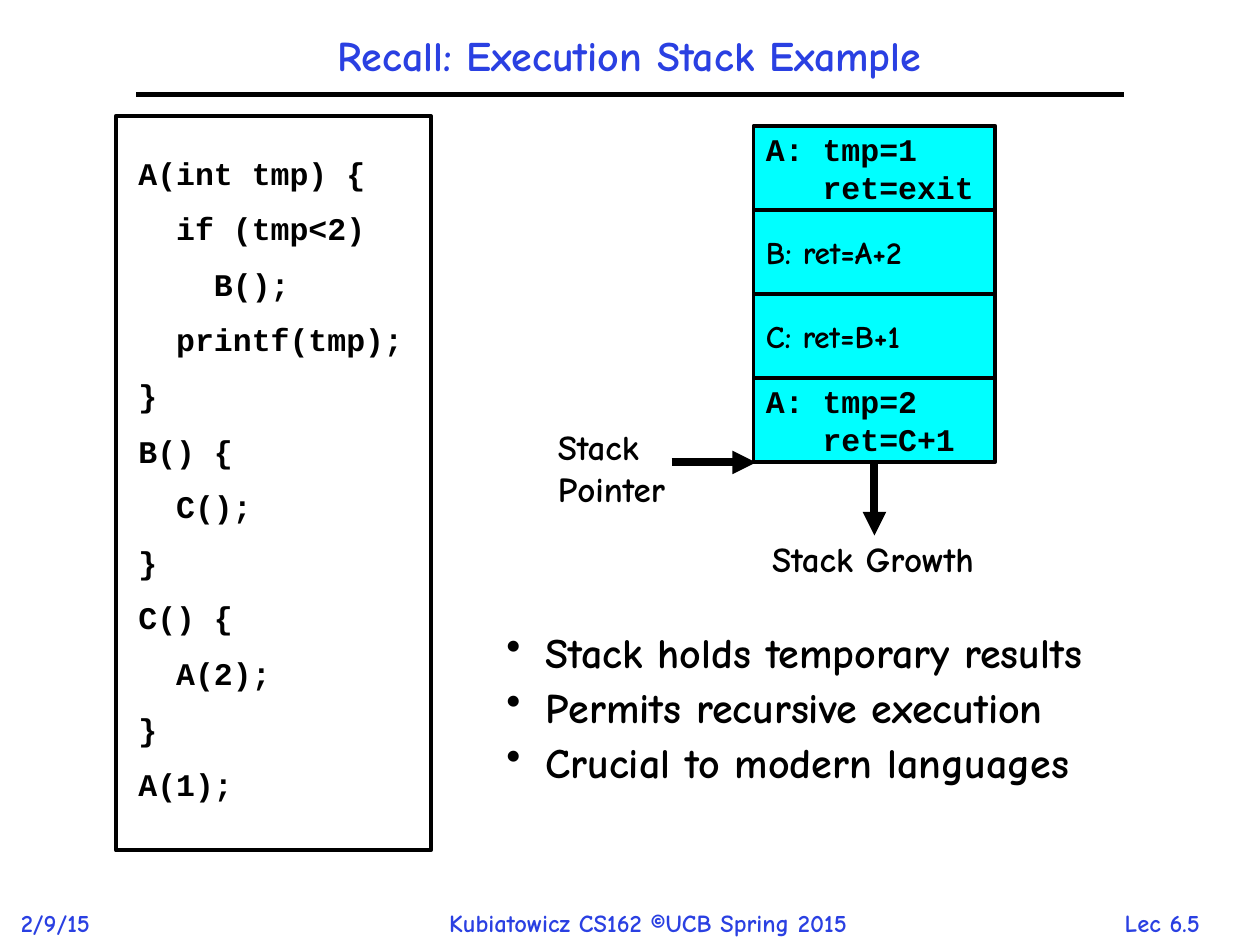
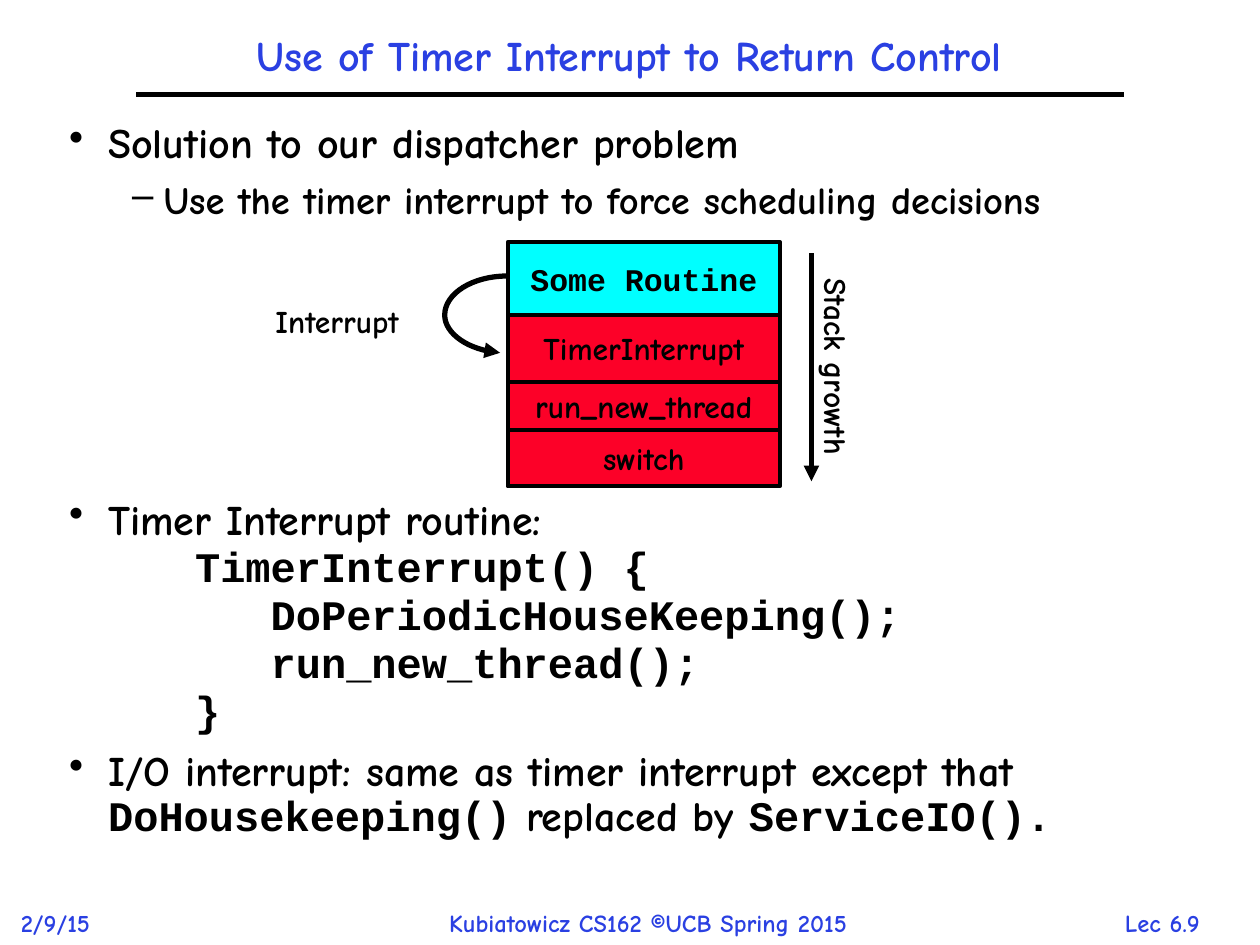
"""Builds two lecture slides on execution stacks and timer interrupts."""
from lxml import etree
from pptx import Presentation, util as u
from pptx.dml.color import RGBColor
from pptx.enum import shapes, text
from pptx.oxml.ns import qn

COLORS = {"blue": "2A40E2", "black": "000000", "white": "FFFFFF", "cyan": "00FFFF", "red": "FC0128"}
SANS, MONO = "Comic Neue", "Courier New"
CENTER = text.PP_ALIGN.CENTER
MIDDLE = text.MSO_ANCHOR.MIDDLE
RECT = shapes.MSO_SHAPE.RECTANGLE


def add_text(s, at, paras, fill=None, wrap=True, anchor=text.MSO_ANCHOR.TOP, **common):
    """Add a text box, or an outlined rectangle if fill is given."""
    at = [u.Inches(v) for v in at]
    if fill:
        sp = s.shapes.add_shape(RECT, *at)
        sp.shadow.inherit = False
        sp.fill.solid()
        sp.fill.fore_color.rgb = RGBColor.from_string(COLORS[fill])
        sp.line.color.rgb = RGBColor.from_string(COLORS["black"])
        sp.line.width = u.Pt(2.25)
    else:
        sp = s.shapes.add_textbox(*at)
    tf = sp.text_frame
    tf.word_wrap, tf.vertical_anchor = wrap, anchor
    for i, (runs, own) in enumerate(paras):
        fmt = {"font": SANS, "size": 18, "color": "black", "alignment": text.PP_ALIGN.LEFT,
               "line_spacing": 1.0, "space_before": u.Pt(0), "left": 0, "hang": 0, **common, **own}
        p = tf.paragraphs[0] if i == 0 else tf.add_paragraph()
        for key in ("alignment", "line_spacing", "space_before"):
            setattr(p, key, fmt[key])
        pPr = p._p.get_or_add_pPr()
        pPr.set("marL", str(u.Inches(fmt["left"])))
        pPr.set("indent", str(-u.Inches(fmt["hang"])))
        if "bullet" in fmt:
            etree.SubElement(pPr, qn("a:buChar")).set("char", fmt["bullet"])
        for words, font in ([(runs, fmt["font"])] if isinstance(runs, str) else runs):
            r = p.add_run()
            r.text = words
            for key, value in {"name": font, "size": u.Pt(fmt["size"]), "bold": True}.items():
                setattr(r.font, key, value)
            r.font.color.rgb = RGBColor.from_string(COLORS[fmt["color"]])
    return sp


def style_line(sp, width, arrow=True):
    """Draw a black line without shadow, with an arrowhead at its end if asked."""
    sp.line.color.rgb = RGBColor.from_string(COLORS["black"])
    sp.line.width = u.Pt(width)
    spPr = sp._element.spPr
    if arrow:
        etree.SubElement(spPr.find(qn("a:ln")), qn("a:tailEnd")).set("type", "triangle")
    etree.SubElement(spPr, qn("a:effectLst"))


prs = Presentation()
prs.slide_width, prs.slide_height = u.Inches(10), u.Inches(7.5)
STRAIGHT = shapes.MSO_CONNECTOR.STRAIGHT
BULLET = {"size": 24, "left": 0.31, "hang": 0.31, "bullet": "•", "space_before": u.Pt(8.3)}

slides = []
for title, number in (("Recall: Execution Stack Example", "Lec 6.5"),
                      ("Use of Timer Interrupt to Return Control", "Lec 6.9")):
    s = prs.slides.add_slide(prs.slide_layouts[6])
    slides.append(s)
    for left, width, words in ((8.62, 1.21, number), (0, 0.88, "2/9/15"),
                               (3.21, 3.87, "Kubiatowicz CS162 ©UCB Spring 2015")):
        add_text(s, (left, 7.16, width, 0.34), [(words, {})], wrap=False,
                 size=14, color="blue", alignment=CENTER)
    rule = s.shapes.add_connector(STRAIGHT, *[u.Inches(v) for v in (1.08, 0.75, 8.92, 0.75)])
    style_line(rule, 3, arrow=False)
    add_text(s, (1.08, 0.17, 7.83, 0.58), [(title, {})], anchor=MIDDLE,
             size=24, color="blue", alignment=CENTER, line_spacing=0.9)

s = slides[0]
points = ["Stack holds temporary results", "Permits recursive execution", "Crucial to modern languages"]
add_text(s, (3.92, 5, 5.58, 1.42), [(words, BULLET) for words in points], line_spacing=0.8)

add_text(s, (0.92, 0.92, 2.5, 5.83), [], fill="white")
code = [(0, "A(int tmp) {"), (1, "if (tmp<2)"), (2, "B();"), (1, "printf(tmp);"), (0, "}"),
        (0, "B() {"), (1, "C();"), (0, "}"), (0, "C() {"), (1, "A(2);"), (0, "}"), (0, "A(1);")]
add_text(s, (1, 1.17, 2.33, 5.37), [(words, {"left": 0.3 * level}) for level, words in code],
         font=MONO, space_before=u.Pt(10.2))

frames = [(MONO, ["A: tmp=1", "ret=exit"]), (SANS, ["B: ret=A+2"]),
          (SANS, ["C: ret=B+1"]), (MONO, ["A: tmp=2", "ret=C+1"])]
for i, (font, lines) in enumerate(frames):
    frame = add_text(s, (5.98, 1 + i * 2 / 3, 1.92, 2 / 3),
                     [(words, {"left": 0.45 * n}) for n, words in enumerate(lines)],
                     fill="cyan", anchor=MIDDLE, font=font)

add_text(s, (4.33, 3.33, 1.14, 0.77), [("Stack", {}), ("Pointer", {})], wrap=False, size=20)
add_text(s, (5.91, 4.22, 2.04, 0.43), [("Stack Growth", {})], wrap=False, size=20, alignment=CENTER)
pointer = s.shapes.add_connector(STRAIGHT, *[u.Inches(v) for v in (5.33, 3.67, 6, 3.67)])
growth = s.shapes.add_connector(STRAIGHT, *[u.Inches(v) for v in (6.94, 3.67, 6.94, 4.25)])
growth.begin_connect(frame, 2)
for arrow in (pointer, growth):
    style_line(arrow, 4.5)

s = slides[1]
DASH = {"size": 22, "left": 0.75, "hang": 0.25, "bullet": "–", "space_before": u.Pt(7.6)}
add_text(s, (0.45, 0.92, 9, 0.95), [("Solution to our dispatcher problem", BULLET),
         ("Use the timer interrupt to force scheduling decisions", DASH)], line_spacing=0.9)

routine = [(1, "TimerInterrupt() {"), (1.6, "DoPeriodicHouseKeeping();"),
           (1.6, "run_new_thread();"), (1, "}")]
io_runs = [("I/O interrupt: same as timer interrupt except that ", SANS), ("DoHousekeeping()", MONO),
           (" replaced by ", SANS), ("ServiceIO().", MONO)]
add_text(s, (0.45, 3.91, 9, 3.1),
         [("Timer Interrupt routine:", BULLET)]
         + [(words, {"font": MONO, "size": 24, "left": left, "line_spacing": 0.95})
            for left, words in routine]
         + [(io_runs, BULLET)], line_spacing=0.9)

top = 1.92
for words, height, fill, font in (("Some Routine", 0.58, "cyan", MONO),
                                  ("TimerInterrupt", 0.53, "red", SANS),
                                  ("run_new_thread", 0.38, "red", SANS),
                                  ("switch", 0.45, "red", SANS)):
    add_text(s, (4.03, top, 2.16, height), [(words, {})], fill=fill, wrap=False,
             anchor=MIDDLE, font=font, alignment=CENTER)
    top += height

curves = [((4.03, 2.19), (3.75, 2.19), (3.53, 2.33), (3.53, 2.5)),
          ((3.53, 2.5), (3.53, 2.65), (3.72, 2.78), (3.97, 2.8))]
steps = 16
arc = []
for a, b, c, d in curves:
    for t in [n / steps for n in range(1, steps + 1)]:
        weights = ((1 - t) ** 3, 3 * t * (1 - t) ** 2, 3 * t * t * (1 - t), t ** 3)
        arc.append([u.Inches(sum(w * pt[axis] for w, pt in zip(weights, (a, b, c, d))))
                    for axis in (0, 1)])
builder = s.shapes.build_freeform(u.Inches(4.03), u.Inches(2.19))
builder.add_line_segments(arc, close=False)
interrupt = builder.convert_to_shape()
interrupt.fill.background()
style_line(interrupt, 3)

add_text(s, (2, 2.35, 1.35, 0.4), [("Interrupt", {})], wrap=False, alignment=CENTER)
label = add_text(s, (5.73, 2.71, 1.82, 0.4), [("Stack growth", {})], wrap=False, alignment=CENTER)
label.rotation = 90
growth = s.shapes.add_connector(STRAIGHT, *[u.Inches(v) for v in (6.44, 2.01, 6.44, 3.82)])
style_line(growth, 3)

prs.save("out.pptx")
